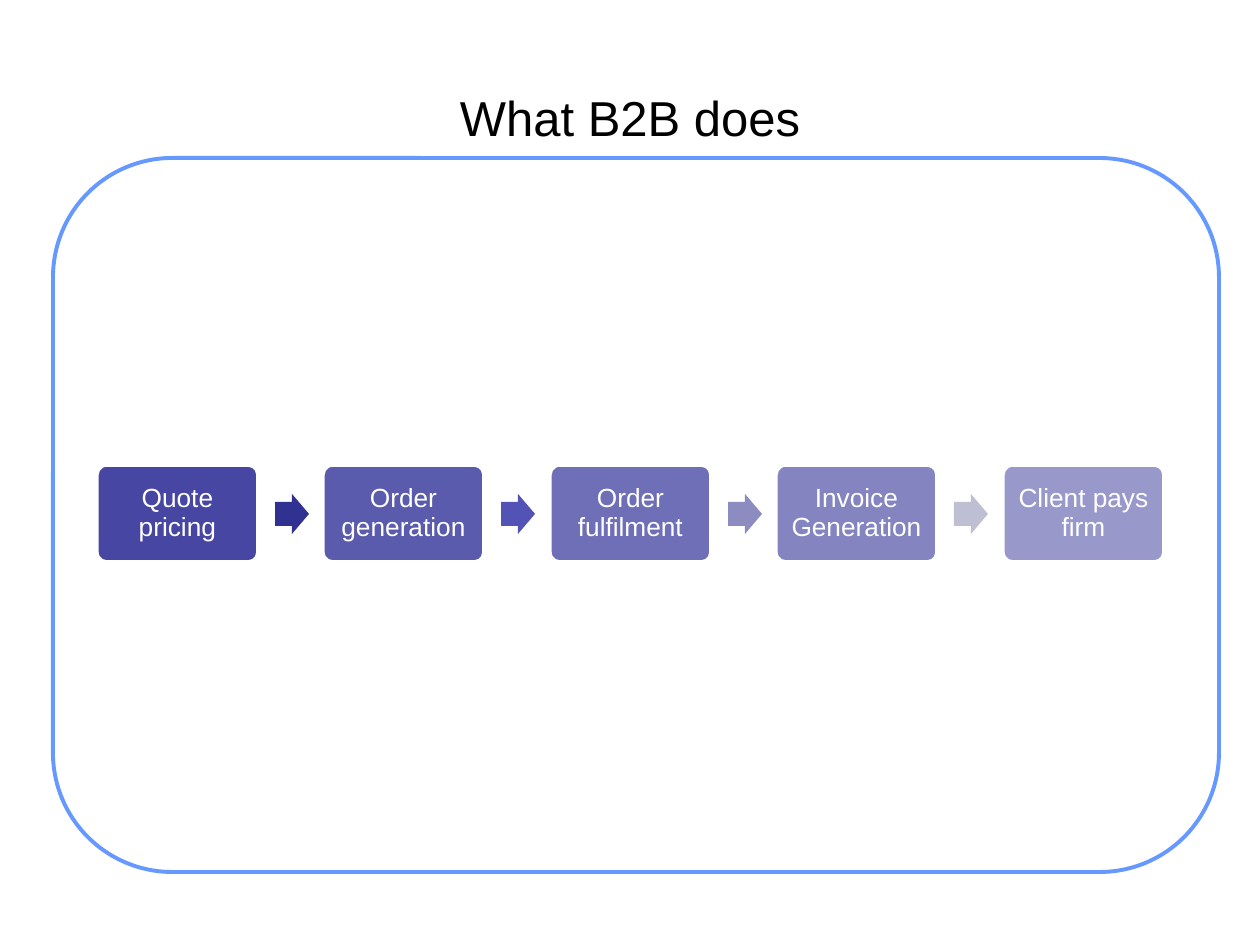
from lxml.etree import SubElement
from pptx import Presentation
from pptx.dml.color import RGBColor
from pptx.enum.shapes import MSO_SHAPE as Shape
from pptx.enum.text import MSO_ANCHOR as Anchor, PP_ALIGN as Align
from pptx.oxml.ns import qn
from pptx.util import Emu, Pt

FONT = "Arial"
WHITE = RGBColor(0xFF, 0xFF, 0xFF)
BLACK = RGBColor(0x00, 0x00, 0x00)
FRAME_BLUE = RGBColor(0x66, 0x99, 0xFF)
INDIGO = RGBColor(0x33, 0x33, 0x99)
ARROW_COLORS = [
    RGBColor(0x31, 0x31, 0x92),
    RGBColor(0x53, 0x53, 0xB5),
    RGBColor(0x8C, 0x8C, 0xC1),
    RGBColor(0xBF, 0xBF, 0xD4),
]

STEPS = [
    "Quote pricing",
    "Order generation",
    "Order fulfilment",
    "Invoice Generation",
    "Client pays firm",
]
STEP_SPAN = 906  # from the first box to the last


def px(n):
    return Emu(round(n * 914400 / 126))


def add_shape(s, kind, box, adjustments, fill, line=None, width=0):
    sp = s.shapes.add_shape(kind, *map(px, box))
    sp.shadow.inherit = False
    for i, value in enumerate(adjustments):
        sp.adjustments[i] = value
    sp.fill.solid()
    sp.fill.fore_color.rgb = fill
    if line is None:
        sp.line.fill.background()
    else:
        sp.line.color.rgb = line
        sp.line.width = Pt(width)
    return sp


def set_opacity(sp, percent):
    color = sp._element.spPr.find(qn("a:solidFill"))[0]
    SubElement(color, qn("a:alpha"), val=str(percent * 1000))


def set_text(sp, text, size, color, inset):
    tf = sp.text_frame
    tf.text = text
    tf.word_wrap = True
    tf.vertical_anchor = Anchor.MIDDLE
    tf.margin_left = tf.margin_right = px(inset)
    tf.margin_top = tf.margin_bottom = px(inset)
    p = tf.paragraphs[0]
    p.alignment = Align.CENTER
    p.font.name = FONT
    p.font.size = Pt(size)
    p.font.color.rgb = color
    return p


def add_title(s, text):
    title = s.shapes.title
    title.left, title.top, title.width, title.height = map(px, (63, 13, 1134, 208))
    set_text(title, text, 28, BLACK, 6)


def add_step(s, x, text, opacity):
    sp = add_shape(s, Shape.ROUNDED_RECTANGLE, (x, 465, 161, 97), [0.1],
                   INDIGO, WHITE, 2)
    set_opacity(sp, opacity)
    p = set_text(sp, text, 15, WHITE, 8)
    p.line_spacing = 0.9


def add_process(s):
    gaps = len(STEPS) - 1
    for i, text in enumerate(STEPS):
        x = 97 + STEP_SPAN * i // gaps
        add_step(s, x, text, 90 - 10 * i)
        if i < gaps:
            add_shape(s, Shape.RIGHT_ARROW, (x + 178, 494, 34, 40), [0.6, 0.5],
                      ARROW_COLORS[i])


def main():
    prs = Presentation()
    prs.slide_width, prs.slide_height = px(1260), px(945)
    s = prs.slides.add_slide(prs.slide_layouts[5])
    add_shape(s, Shape.ROUNDED_RECTANGLE, (53, 158, 1166, 714), [0.167],
              WHITE, FRAME_BLUE, 2.25)
    add_title(s, "What B2B does")
    add_process(s)
    prs.save("out.pptx")


if __name__ == "__main__":
    main()
